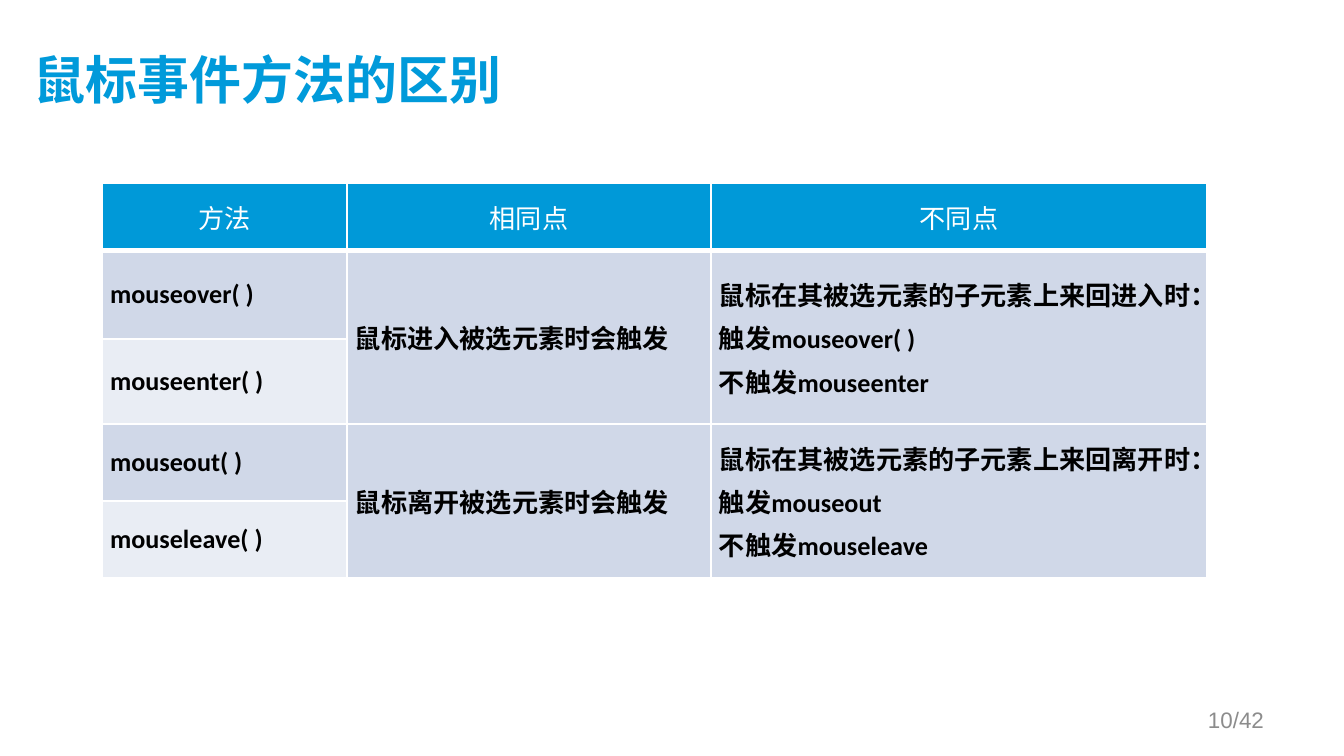
"""Build a slide comparing the mouse event methods in a table."""
from dataclasses import dataclass

from lxml import etree
from pptx import Presentation
from pptx import util as u
from pptx.dml.color import RGBColor
from pptx.enum import text
from pptx.oxml import ns

EMU_PER_PX = 914400 / 134.4
COLORS = {
    "title": "009ADA",
    "header": "0099D8",
    "band_dark": "D0D8E8",
    "band_light": "E9EDF4",
    "white": "FFFFFF",
    "black": "000000",
    "page": "8C8C8C",
}
CJK_FONT = "Noto Sans CJK SC"
COLUMN_WIDTHS = (245, 364, 496)
ROW_HEIGHTS = (68, 88, 85, 77, 77)
HEADINGS = ("方法", "相同点", "不同点")
CELL_FORMAT = {"margin_left": 8, "margin_right": 8, "margin_top": 0, "margin_bottom": 0}


@dataclass(frozen=True)
class TextStyle:
    size: float
    font: str
    color: str
    bold: bool = False
    align: text.PP_ALIGN = text.PP_ALIGN.LEFT
    space_before: float = 0


@dataclass(frozen=True)
class EventPair:
    methods: tuple[str, str]
    similarity: str
    differences: tuple[str, ...]


TITLE = TextStyle(27.8, CJK_FONT, "title", bold=True)
HEADER = TextStyle(14, "Calibri", "white", align=text.PP_ALIGN.CENTER)
BODY = TextStyle(14, "Calibri", "black", bold=True, space_before=2.8)
PAGE = TextStyle(12, "Arial", "page", align=text.PP_ALIGN.RIGHT)

PAIRS = (
    EventPair(
        ("mouseover( )", "mouseenter( )"),
        "鼠标进入被选元素时会触发",
        ("鼠标在其被选元素的子元素上来回进入时：", "触发mouseover( )", "不触发mouseenter"),
    ),
    EventPair(
        ("mouseout( )", "mouseleave( )"),
        "鼠标离开被选元素时会触发",
        ("鼠标在其被选元素的子元素上来回离开时：", "触发mouseout", "不触发mouseleave"),
    ),
)


def px(length: int) -> u.Emu:
    """Convert pixels to EMU."""
    return u.Emu(round(length * EMU_PER_PX))


def rgb(name: str) -> RGBColor:
    """Look up a named colour."""
    return RGBColor.from_string(COLORS[name])


def write_lines(frame, lines: tuple[str, ...], style: TextStyle) -> None:
    """Fill a text frame with one styled paragraph per line."""
    for index, line in enumerate(lines):
        paragraph = frame.add_paragraph() if index else frame.paragraphs[0]
        paragraph.alignment = style.align
        paragraph.space_before = u.Pt(style.space_before if index else 0)
        run = paragraph.add_run()
        run.text = line
        font_format = {"size": u.Pt(style.size), "name": style.font, "bold": style.bold}
        for name, value in font_format.items():
            setattr(run.font, name, value)
        run.font.color.rgb = rgb(style.color)
        east_asian = etree.SubElement(run.font._element, ns.qn("a:ea"))
        east_asian.set("typeface", CJK_FONT)


def add_label(slide, box: tuple[int, int, int, int], line: str,
              style: TextStyle, margins: dict[str, int]) -> None:
    """Add a vertically centred text box."""
    frame = slide.shapes.add_textbox(*map(px, box)).text_frame
    frame.word_wrap = True
    frame.vertical_anchor = text.MSO_ANCHOR.MIDDLE
    for name, value in margins.items():
        setattr(frame, name, px(value))
    write_lines(frame, (line,), style)


def format_cell(cell, fill: str, bottom_width: float = 1) -> None:
    """Set the margins, white borders and fill of a cell."""
    cell.vertical_anchor = text.MSO_ANCHOR.MIDDLE
    for name, value in CELL_FORMAT.items():
        setattr(cell, name, px(value))
    properties = cell._tc.get_or_add_tcPr()
    for side, width in {"L": 1, "R": 1, "T": 1, "B": bottom_width}.items():
        border = etree.SubElement(properties, ns.qn(f"a:ln{side}"), w=str(u.Pt(width)))
        solid = etree.SubElement(border, ns.qn("a:solidFill"))
        etree.SubElement(solid, ns.qn("a:srgbClr"), val=COLORS["white"])
    cell.fill.solid()
    cell.fill.fore_color.rgb = rgb(fill)


def add_comparison(slide) -> None:
    """Add the table of event methods."""
    box = (102, 183, sum(COLUMN_WIDTHS), sum(ROW_HEIGHTS))
    table = slide.shapes.add_table(
        len(ROW_HEIGHTS), len(COLUMN_WIDTHS), *map(px, box)).table
    for column, width in zip(table.columns, COLUMN_WIDTHS):
        column.width = px(width)
    for row, height in zip(table.rows, ROW_HEIGHTS):
        row.height = px(height)
    for column, heading in enumerate(HEADINGS):
        cell = table.cell(0, column)
        format_cell(cell, "header", bottom_width=3)
        write_lines(cell.text_frame, (heading,), HEADER)
    for index, pair in enumerate(PAIRS):
        top = 1 + 2 * index
        for offset, (method, fill) in enumerate(zip(pair.methods, ("band_dark", "band_light"))):
            cell = table.cell(top + offset, 0)
            format_cell(cell, fill)
            write_lines(cell.text_frame, (method,), BODY)
        for column, lines in enumerate(((pair.similarity,), pair.differences), start=1):
            for row in (top, top + 1):
                format_cell(table.cell(row, column), "band_dark")
            cell = table.cell(top, column)
            cell.merge(table.cell(top + 1, column))
            write_lines(cell.text_frame, lines, BODY)


def main() -> None:
    """Create and save the presentation."""
    presentation = Presentation()
    presentation.slide_width, presentation.slide_height = px(1344), px(756)
    slide = presentation.slides.add_slide(presentation.slide_layouts[6])
    add_label(slide, (34, 31, 1211, 103), "鼠标事件方法的区别", TITLE,
              {"margin_left": 0, "margin_top": 0, "margin_right": 13, "margin_bottom": 7})
    add_comparison(slide)
    add_label(slide, (964, 700, 313, 40), "10/42", PAGE,
              {"margin_left": 13, "margin_top": 7, "margin_right": 13, "margin_bottom": 7})
    presentation.save("out.pptx")


if __name__ == "__main__":
    main()
